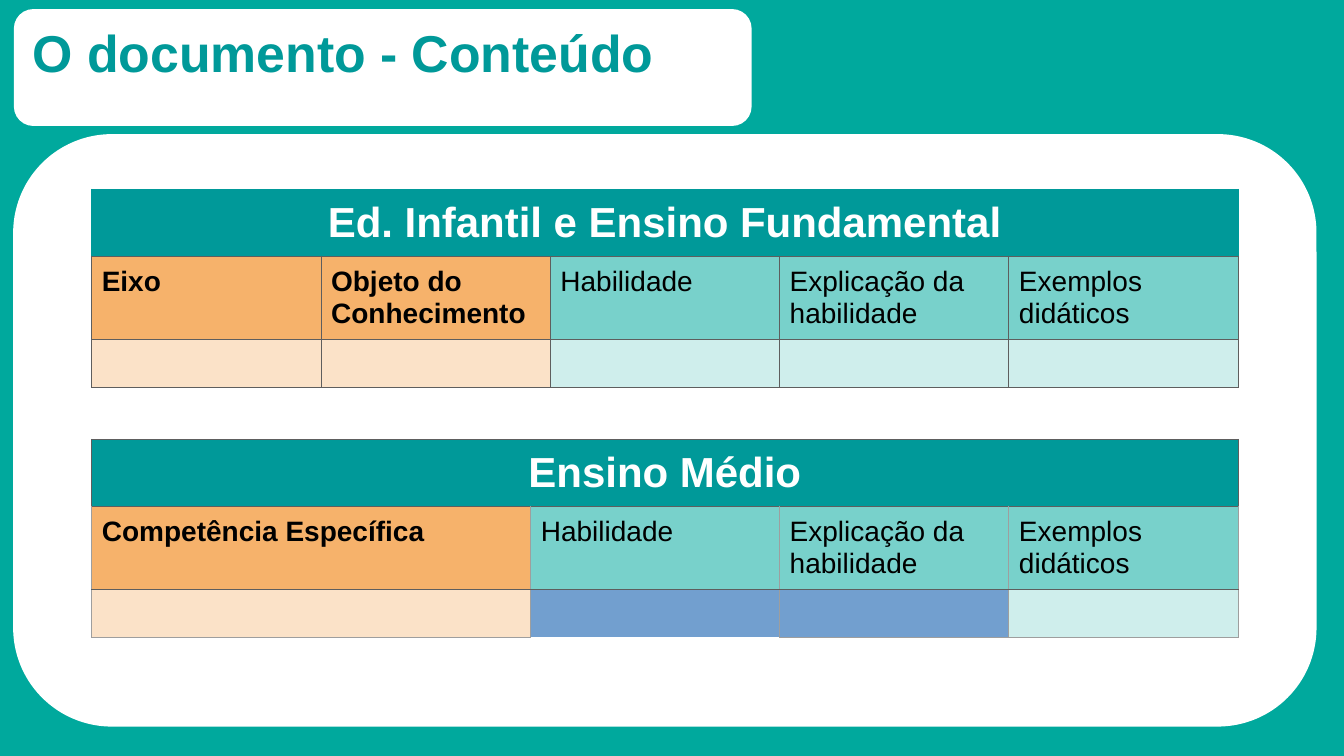
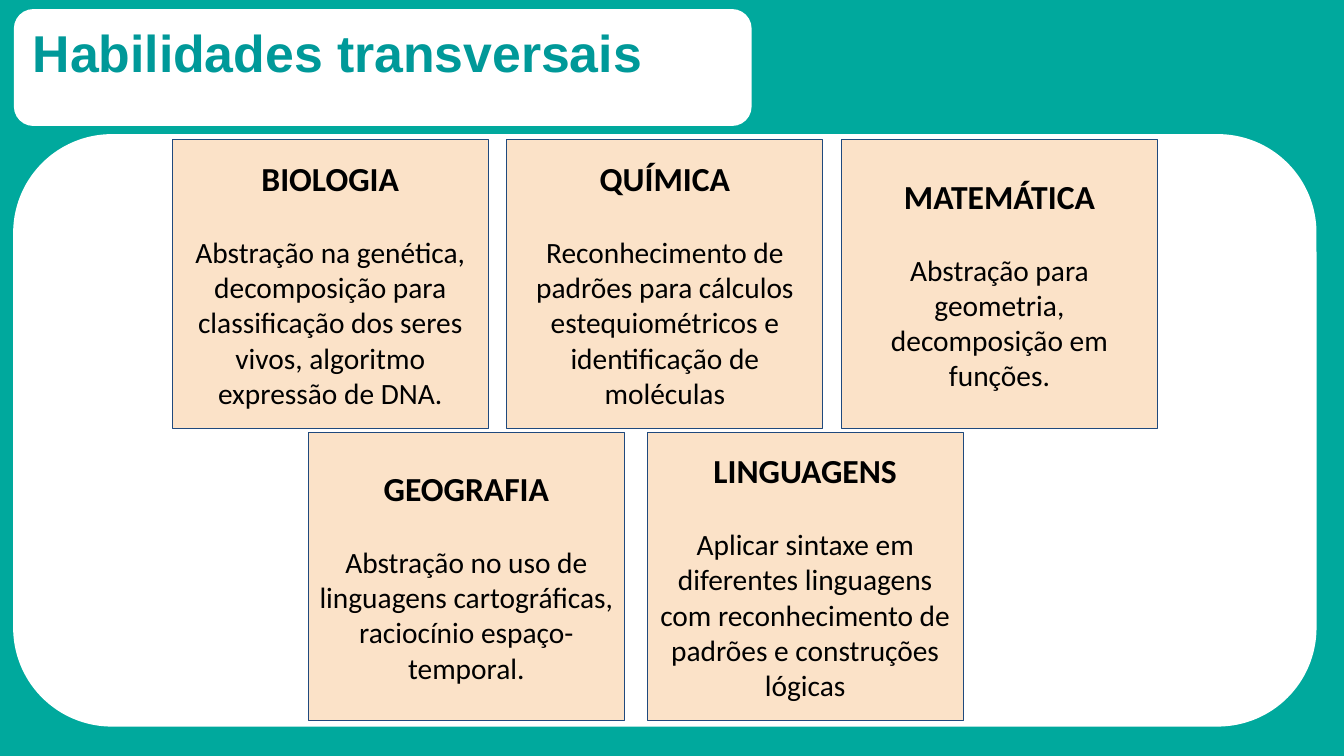
from lxml import etree
from pptx import Presentation
from pptx.dml.color import RGBColor
from pptx.enum.shapes import MSO_SHAPE
from pptx.enum.text import MSO_ANCHOR, PP_ALIGN
from pptx.oxml.ns import qn
from pptx.util import Pt

ROUNDED = MSO_SHAPE.FLOWCHART_ALTERNATE_PROCESS
RECTANGLE = MSO_SHAPE.RECTANGLE
TOP, MIDDLE = MSO_ANCHOR.TOP, MSO_ANCHOR.MIDDLE
LEFT, CENTER = PP_ALIGN.LEFT, PP_ALIGN.CENTER

WHITE, BLACK = "FFFFFF", "000000"
TEAL, DEEP_TEAL, ORANGE = "00A99D", "009999", "F6B26B"
BLUE, NAVY = "729FCF", "1F497D"
DARK_GRAY, LIGHT_GRAY = "5E5E5E", "9E9E9E"

SOLID_ORANGE, PALE_ORANGE = (ORANGE, 100), (ORANGE, 37)
MID_TEAL, PALE_TEAL = (TEAL, 53), (TEAL, 19)

TITLE = {"name": "Arial", "size": Pt(37), "bold": True, "color": DEEP_TEAL}
TABLE_TITLE = {"name": "Arial", "size": Pt(30), "bold": True, "color": WHITE}
TABLE_LABEL = {"name": "Arial", "size": Pt(20), "bold": False, "color": BLACK}
TABLE_KEY = {**TABLE_LABEL, "bold": True}
CARD_TITLE = {"name": "Calibri", "size": Pt(24), "bold": True, "color": BLACK}
CARD_BODY = {**CARD_TITLE, "size": Pt(21), "bold": False}

TABLE_LEFT, ROW_HEIGHTS = 65.5, (47.7, 59.5, 34.3)
COLUMN = 163.8
CARD_WIDTH, CARD_HEIGHT = 225.6, 205.9
CARD_INSET = 6.6

TABLES = (
    {
        "top": 135.2,
        "title": "Ed. Infantil e Ensino Fundamental",
        "widths": (COLUMN,) * 5,
        "keys": ("Eixo", "Objeto do Conhecimento"),
        "empty_fills": (PALE_ORANGE,) * 2 + (PALE_TEAL,) * 3,
        "borders": (
            (DEEP_TEAL, DEEP_TEAL, DEEP_TEAL, DARK_GRAY),
            (DARK_GRAY,) * 4,
            (DARK_GRAY,) * 4,
        ),
    },
    {
        "top": 313.8,
        "title": "Ensino Médio",
        "widths": (COLUMN, 149.8, 177.8, COLUMN, COLUMN),
        "keys": ("Competência Específica", None),
        "empty_fills": (PALE_ORANGE,) * 2 + ((BLUE, 100),) + (PALE_TEAL,) * 2,
        "borders": (
            (DARK_GRAY,) * 4,
            (LIGHT_GRAY, LIGHT_GRAY, DARK_GRAY, DARK_GRAY),
            (LIGHT_GRAY, LIGHT_GRAY, DARK_GRAY, LIGHT_GRAY),
        ),
    },
)
LABELS = ("Habilidade", "Explicação da habilidade", "Exemplos didáticos")

CARD_ROWS = (
    (123.1, 100, 239, (
        ("BIOLOGIA", "Abstração na genética, decomposição para classificação "
                     "dos seres vivos, algoritmo expressão de DNA."),
        ("QUÍMICA", "Reconhecimento de padrões para cálculos estequiométricos "
                    "e identificação de moléculas"),
        ("MATEMÁTICA", "Abstração para geometria, decomposição em funções."),
    )),
    (220.3, 308.8, 242, (
        ("GEOGRAFIA", "Abstração no uso de linguagens cartográficas, "
                      "raciocínio espaço-temporal."),
        ("LINGUAGENS", "Aplicar sintaxe em diferentes linguagens com "
                       "reconhecimento de padrões e construções lógicas"),
    )),
)


def rgb(value):
    """Return the colour for a hex string."""
    return RGBColor.from_string(value)


def set_fill(fill, properties, color, opacity=100):
    """Fill an object with a colour at an opacity in percent."""
    fill.solid()
    fill.fore_color.rgb = rgb(color)
    if opacity < 100:
        node = properties.find(qn("a:solidFill") + "/" + qn("a:srgbClr"))
        etree.SubElement(node, qn("a:alpha"), val=str(opacity * 1000))


def write(paragraph, text, style, alignment=LEFT):
    """Write a styled run into a paragraph."""
    paragraph.alignment = alignment
    run = paragraph.add_run()
    run.text = text
    for name, value in style.items():
        if name == "color":
            run.font.color.rgb = rgb(value)
        else:
            setattr(run.font, name, value)


def set_margins(target, horizontal, top, bottom):
    """Set the inner margins of a cell or text frame."""
    margins = {"left": horizontal, "right": horizontal, "top": top, "bottom": bottom}
    for side, length in margins.items():
        setattr(target, f"margin_{side}", Pt(length))


def add_box(slide, kind, bounds, color, opacity=100, outline=None):
    """Add a filled shape with an optional outline."""
    shape = slide.shapes.add_shape(kind, *(Pt(length) for length in bounds))
    shape.shadow.inherit = False
    set_fill(shape.fill, shape._element.spPr, color, opacity)
    if outline:
        shape.line.color.rgb = rgb(outline)
        shape.line.width = Pt(0.75)
    else:
        shape.line.fill.background()
    shape.text_frame.word_wrap = True
    return shape


def add_content_slide(presentation, title):
    """Add a slide with the white panel and the title tab."""
    slide = presentation.slides.add_slide(presentation.slide_layouts[6])
    add_box(slide, ROUNDED, (9.4, 95.8, 931, 423.2), WHITE)
    frame = add_box(slide, ROUNDED, (9.9, 6.5, 527, 83.5), WHITE).text_frame
    frame.vertical_anchor = TOP
    set_margins(frame, 9.4, 4.4, 4.4)
    write(frame.paragraphs[0], title, TITLE)
    return slide


def set_borders(cell, colors):
    """Draw the left, right, top and bottom borders of a cell."""
    properties = cell._tc.get_or_add_tcPr()
    for index, (side, color) in enumerate(zip("LRTB", colors)):
        line = etree.Element(qn(f"a:ln{side}"), w=str(Pt(0.75)))
        fill = etree.SubElement(line, qn("a:solidFill"))
        etree.SubElement(fill, qn("a:srgbClr"), val=color)
        properties.insert(index, line)


def format_cell(cell, fill, borders, text=None, style=None, alignment=LEFT):
    """Fill, border and label one table cell."""
    set_fill(cell.fill, cell._tc.get_or_add_tcPr(), *fill)
    set_borders(cell, borders)
    if text:
        set_margins(cell, 7.2, 7.5, 5.5)
        write(cell.text_frame.paragraphs[0], text, style, alignment)


def add_structure_table(slide, top, title, widths, keys, empty_fills, borders):
    """Add a table with a title row, a label row and an empty row."""
    bounds = (TABLE_LEFT, top, sum(widths), sum(ROW_HEIGHTS))
    table = slide.shapes.add_table(
        len(ROW_HEIGHTS), len(widths), *(Pt(length) for length in bounds)
    ).table
    table.first_row = table.horz_banding = False
    for row, height in zip(table.rows, ROW_HEIGHTS):
        row.height = Pt(height)
    for column, width in zip(table.columns, widths):
        column.width = Pt(width)
    table.cell(0, 0).merge(table.cell(0, len(widths) - 1))
    for index, label in enumerate(keys + LABELS):
        is_key = index < len(keys)
        format_cell(table.cell(0, index), (DEEP_TEAL, 100), borders[0],
                    None if index else title, TABLE_TITLE, CENTER)
        format_cell(table.cell(1, index), SOLID_ORANGE if is_key else MID_TEAL,
                    borders[1], label, TABLE_KEY if is_key else TABLE_LABEL)
        format_cell(table.cell(2, index), empty_fills[index], borders[2])
        if label is None:
            for row in (1, 2):
                table.cell(row, index - 1).merge(table.cell(row, index))


def add_card(slide, left, top, subject, description):
    """Add a subject card with a heading and a description."""
    bounds = (left, top, CARD_WIDTH, CARD_HEIGHT)
    frame = add_box(slide, RECTANGLE, bounds, *PALE_ORANGE, NAVY).text_frame
    frame.vertical_anchor = MIDDLE
    set_margins(frame, CARD_INSET, CARD_INSET, CARD_INSET)
    write(frame.paragraphs[0], subject, CARD_TITLE, CENTER)
    body = frame.add_paragraph()
    body.space_before = Pt(25.6)
    write(body, description, CARD_BODY, CENTER)


def main():
    """Build and save the presentation."""
    presentation = Presentation()
    presentation.slide_width, presentation.slide_height = Pt(960), Pt(540)
    background = presentation.slide_master.background.fill
    background.solid()
    background.fore_color.rgb = rgb(TEAL)

    slide = add_content_slide(presentation, "O documento - Conteúdo")
    for table in TABLES:
        add_structure_table(slide, **table)

    slide = add_content_slide(presentation, "Habilidades transversais")
    for left, top, pitch, cards in CARD_ROWS:
        for index, (subject, description) in enumerate(cards):
            add_card(slide, left + index * pitch, top, subject, description)

    presentation.save("out.pptx")


if __name__ == "__main__":
    main()
